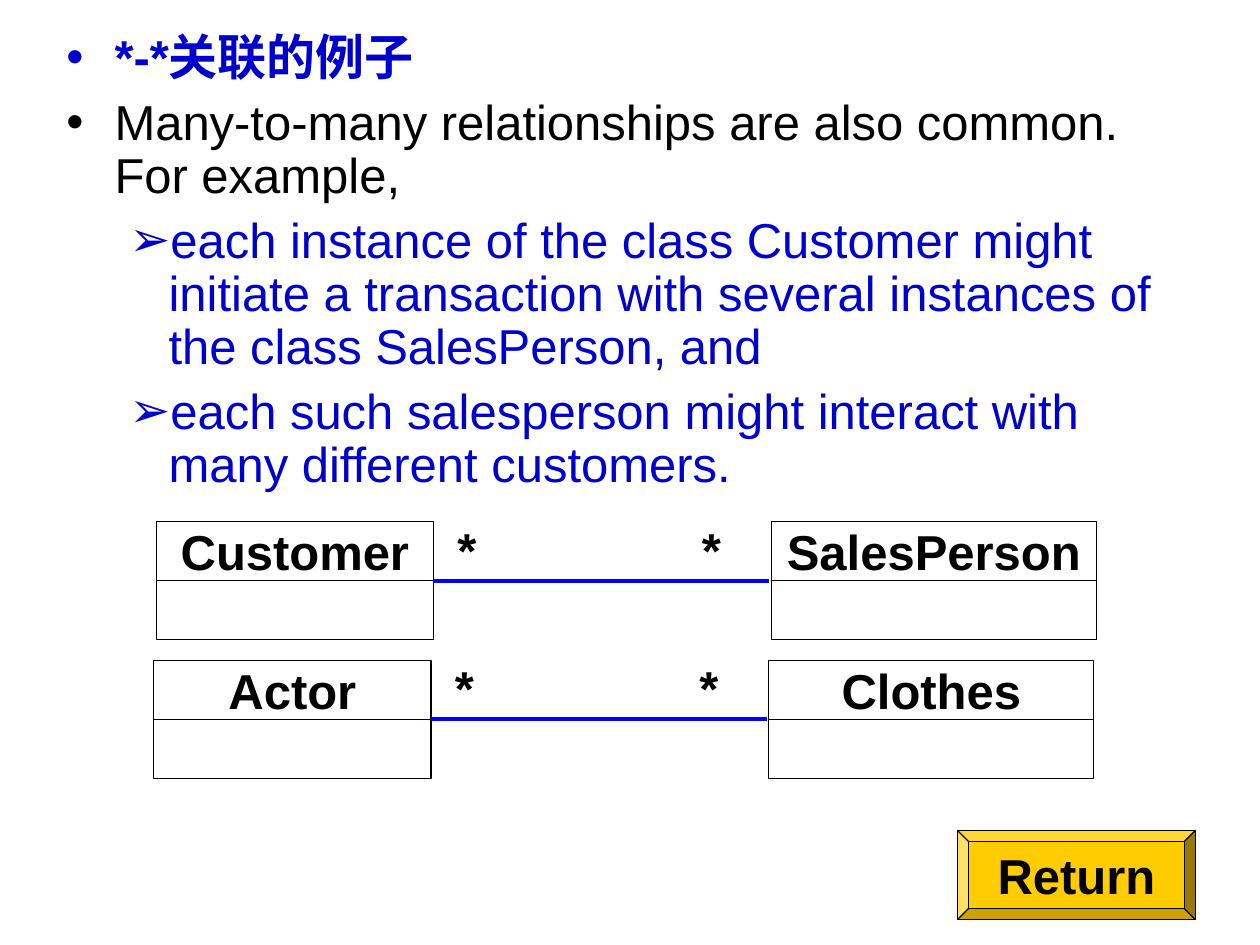
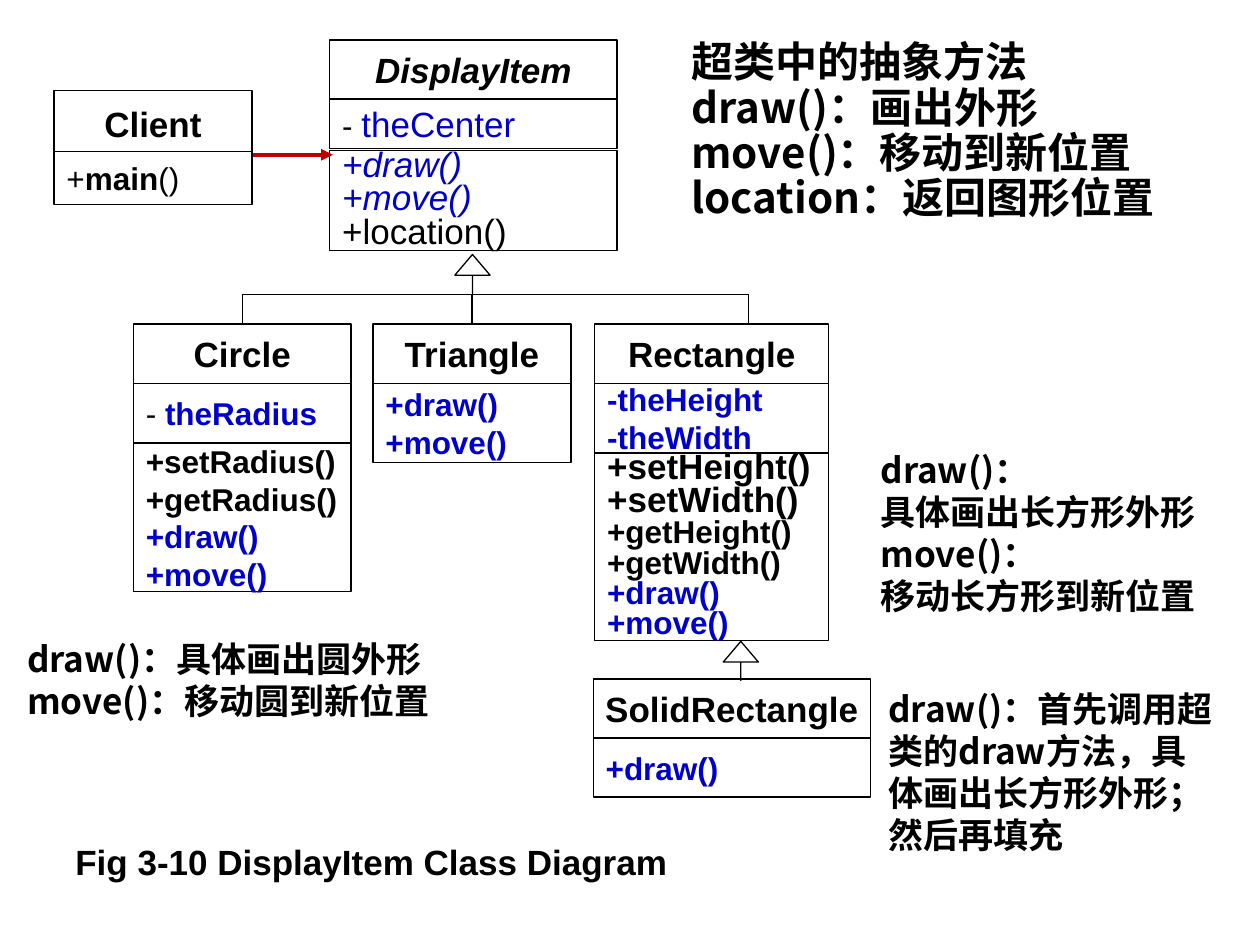
from dataclasses import dataclass
from typing import NamedTuple

from lxml.etree import SubElement
from pptx import Presentation
from pptx.dml.color import RGBColor
from pptx.enum.shapes import MSO_CONNECTOR, MSO_SHAPE
from pptx.enum.text import MSO_ANCHOR, PP_ALIGN
from pptx.oxml.ns import qn
from pptx.util import Cm, Pt

COLORS = {
    "ink": "000000",
    "paper": "FFFFFF",
    "accent": "0000CC",
    "association": "0000FF",
    "dependency": "C00000",
    "button": "FFCC00",
}
LATIN, CHINESE = "Arial", "Noto Sans CJK SC"

# Text frame formats
BOX_FRAME = dict(word_wrap=False, vertical_anchor=MSO_ANCHOR.MIDDLE,
                 margin_left=Cm(0.25), margin_right=Cm(0.25),
                 margin_top=Cm(0.13), margin_bottom=Cm(0.13))
NOTE_FRAME = BOX_FRAME | dict(word_wrap=True, vertical_anchor=MSO_ANCHOR.TOP)
FLUSH_FRAME = NOTE_FRAME | dict(margin_left=0, margin_right=0)
MARK_FRAME = FLUSH_FRAME | dict(margin_top=Cm(0.15), margin_bottom=0)


class Run(NamedTuple):
    text: str
    size: float = 18
    color: str = "ink"
    bold: bool = True
    italic: bool = False
    font: str = LATIN


class Bullet(NamedTuple):
    char: str
    margin: float
    hang: float


class Line(NamedTuple):
    runs: list[Run]
    bullet: Bullet | None = None


class Section(NamedTuple):
    height: float
    lines: list[Line]
    spacing: float = 1.0
    gap: float = 0


@dataclass
class ClassBox:
    left: float
    top: float
    width: float
    name: Run
    name_height: float
    sections: list[Section]


@dataclass
class Note:
    left: float
    top: float
    width: float
    height: float
    texts: list[str]
    size: float = 20
    spacing: float = 1.0
    font: str = CHINESE
    frame: dict | None = None


def rgb(color: str) -> RGBColor:
    return RGBColor.from_string(COLORS[color])


def lines(*texts: str, **style) -> list[Line]:
    return [Line([Run(text, **style)]) for text in texts]


def write(shape, content: list[Line], frame_format: dict, align=PP_ALIGN.LEFT,
          spacing: float = 1.0, before: float = 0) -> None:
    frame = shape.text_frame
    for key, value in frame_format.items():
        setattr(frame, key, value)
    for index, line in enumerate(content):
        paragraph = frame.add_paragraph() if index else frame.paragraphs[0]
        if line.bullet:
            add_bullet(paragraph, line.bullet, line.runs[0].color)
        paragraph.alignment = align
        paragraph.line_spacing = spacing
        if index and before:
            paragraph.space_before = Pt(before)
        for item in line.runs:
            run = paragraph.add_run()
            run.text = item.text
            style = dict(name=item.font, size=Pt(item.size),
                         bold=item.bold, italic=item.italic)
            for key, value in style.items():
                setattr(run.font, key, value)
            run.font.color.rgb = rgb(item.color)
            SubElement(run.font._element, qn("a:ea"), typeface=CHINESE)


def add_bullet(paragraph, bullet: Bullet, color: str) -> None:
    props = paragraph._p.get_or_add_pPr()
    props.set("marL", str(Cm(bullet.margin)))
    props.set("indent", str(-Cm(bullet.hang)))
    tint = SubElement(props, qn("a:buClr"))
    SubElement(tint, qn("a:srgbClr"), val=COLORS[color])
    SubElement(props, qn("a:buFont"), typeface=LATIN)
    SubElement(props, qn("a:buChar"), char=bullet.char)


def add_box(slide, left: float, top: float, width: float, height: float,
            kind=MSO_SHAPE.RECTANGLE, fill: str = "paper", outlined: bool = True):
    box = slide.shapes.add_shape(kind, Cm(left), Cm(top), Cm(width), Cm(height))
    box.shadow.inherit = False
    box.fill.solid()
    box.fill.fore_color.rgb = rgb(fill)
    if outlined:
        box.line.color.rgb = rgb("ink")
        box.line.width = Pt(0.75)
    else:
        box.line.fill.background()
    return box


def add_class(slide, item: ClassBox):
    """Draw a class and return its name box."""
    header = add_box(slide, item.left, item.top, item.width, item.name_height)
    write(header, [Line([item.name])], BOX_FRAME, PP_ALIGN.CENTER)
    top = item.top + item.name_height
    for section in item.sections:
        top += section.gap
        body = add_box(slide, item.left, top, item.width, section.height)
        if section.lines:
            write(body, section.lines, BOX_FRAME, spacing=section.spacing)
        top += section.height
    return header


def add_line(slide, x1: float, y1: float, x2: float, y2: float,
             color: str = "ink", width: float = 0.75, arrow: bool = False):
    line = slide.shapes.add_connector(
        MSO_CONNECTOR.STRAIGHT, Cm(x1), Cm(y1), Cm(x2), Cm(y2))
    line.line.color.rgb = rgb(color)
    line.line.width = Pt(width)
    if arrow:
        SubElement(line.line._get_or_add_ln(), qn("a:tailEnd"), type="triangle")
    SubElement(line._element.spPr, qn("a:effectLst"))
    return line


def add_inheritance(slide, left: float, top: float) -> None:
    arrow = add_box(slide, left, top, 0.71, 0.79, MSO_SHAPE.UP_ARROW)
    arrow.adjustments[0] = 0
    arrow.adjustments[1] = 0.59


def add_text(slide, left: float, top: float, width: float, height: float):
    return slide.shapes.add_textbox(Cm(left), Cm(top), Cm(width), Cm(height))


def add_note(slide, note: Note) -> None:
    box = add_text(slide, note.left, note.top, note.width, note.height)
    write(box, lines(*note.texts, size=note.size, font=note.font),
          note.frame or NOTE_FRAME, spacing=note.spacing)


def add_association(slide, left: float, top: float, source: str, target: str) -> None:
    """Draw two classes joined by a many-to-many association."""
    half, target_left = 1.19, left + 12.4
    for name, x, width in ((source, left, 5.59), (target, target_left, 6.55)):
        add_class(slide, ClassBox(x, top, width, Run(name, 28), half,
                                  [Section(half, [])]))
    for offset, width in ((6.07, 1.19), (11.0, 0.76)):
        mark = add_box(slide, left + offset, top - 0.2, width, half, outlined=False)
        write(mark, lines("*", size=28), MARK_FRAME)
    add_line(slide, left + 5.59, top + half, target_left - 0.04, top + half,
             "association", 2.5)


def build_many_to_many(slide) -> None:
    # Explanation
    dot, chevron = Bullet("•", 0.97, 0.97), Bullet("➢", 2.06, 0.79)
    points = [
        (dot, "*-*关联的例子", "accent", True),
        (dot, "Many-to-many relationships are also common. For example,",
         "ink", False),
        (chevron, "each instance of the class Customer might initiate a transaction "
         "with several instances of the class SalesPerson, and", "accent", False),
        (chevron, "each such salesperson might interact with many different "
         "customers.", "accent", False),
    ]
    write(add_text(slide, 1.09, 0.53, 22.86, 10.01),
          [Line([Run(text, 28, color, bold)], bullet)
           for bullet, text, color, bold in points],
          NOTE_FRAME, spacing=0.9, before=7)

    # Associations
    add_association(slide, 3.15, 10.52, "Customer", "SalesPerson")
    add_association(slide, 3.1, 13.31, "Actor", "Clothes")

    # Return button
    button = add_box(slide, 19.3, 16.74, 4.8, 1.8, MSO_SHAPE.BEVEL, "button")
    write(button, lines("Return", size=28), BOX_FRAME, PP_ALIGN.CENTER)


def build_class_diagram(slide) -> None:
    add_note(slide, Note(1.27, 16.92, 14.02, 1.19,
                         ["Fig 3-10 DisplayItem Class Diagram"],
                         spacing=0.9, font=LATIN))

    # Classes
    draw_move = lines("+draw()", "+move()", color="accent")
    dash = Run("- ", bold=False)
    child_top, name_height = 6.53, 1.2
    display_item = ClassBox(6.65, 0.81, 5.79, Run("DisplayItem", 20, italic=True), 1.19, [
        Section(0.99, [Line([dash, Run("theCenter", 20, "accent", False)])]),
        Section(2.01, lines("+draw()", "+move()", size=20, color="accent",
                            bold=False, italic=True)
                + lines("+location()", size=20, bold=False), 0.8, 0.05),
    ])
    client = ClassBox(1.09, 1.83, 3.99, Run("Client", 20), 1.3, [
        Section(1.07, [Line([Run("+", bold=False), Run("main"),
                             Run("()", bold=False)])], gap=-0.08),
    ])
    circle = ClassBox(2.69, child_top, 4.39, Run("Circle", 20), name_height, [
        Section(1.2, [Line([dash, Run("theRadius", color="accent")])]),
        Section(3.0, lines("+setRadius()", "+getRadius()") + draw_move),
    ])
    triangle = ClassBox(7.52, child_top, 3.99, Run("Triangle", 20), name_height,
                        [Section(1.6, draw_move)])
    rectangle = ClassBox(11.99, child_top, 4.72, Run("Rectangle", 20), name_height, [
        Section(1.4, lines("-theHeight", "-theWidth", color="accent")),
        Section(3.78, lines("+setHeight()", "+setWidth()", size=20)
                + lines("+getHeight()", "+getWidth()") + draw_move, 0.8),
    ])
    solid_rectangle = ClassBox(11.96, 13.69, 5.59, Run("SolidRectangle", 20), 1.19,
                               [Section(1.19, lines("+draw()", color="accent"))])
    for item in (display_item, client, rectangle, solid_rectangle):
        add_class(slide, item)

    # Inheritance tree
    bar_y, bar_end = 5.94, 15.09
    for child in (circle, triangle):
        center = child.left + child.width / 2
        header = add_class(slide, child)
        branch = add_line(slide, center, bar_y, center, child_top)
        branch.end_connect(header, 0)
    add_line(slide, bar_end, bar_y, bar_end, child_top)
    add_line(slide, circle.left + circle.width / 2, bar_y, bar_end, bar_y)
    add_inheritance(slide, 9.17, 5.13)
    add_inheritance(slide, 14.58, 12.93)

    # Client dependency
    add_line(slide, 5.11, 3.12, 6.71, 3.12, "dependency", 2.25, arrow=True)

    # Notes on the methods
    notes = [
        Note(13.69, 0.71, 10.41, 3.91,
             ["超类中的抽象方法", "draw()：画出外形", "move()：移动到新位置",
              "location：返回图形位置"], 24, 0.9),
        Note(0.3, 12.73, 8.89, 1.96,
             ["draw()：具体画出圆外形", "move()：移动圆到新位置"]),
        Note(17.5, 8.92, 7.01, 3.66,
             ["draw()：", "具体画出长方形外形", "move()：", "移动长方形到新位置"]),
        Note(17.91, 13.72, 6.6, 3.66,
             ["draw()：首先调用超类的draw方法，具体画出长方形外形；", "然后再填充"],
             frame=FLUSH_FRAME),
    ]
    for note in notes:
        add_note(slide, note)


def main() -> None:
    deck = Presentation()
    deck.slide_width, deck.slide_height = Cm(25.4), Cm(19.05)
    for build in (build_many_to_many, build_class_diagram):
        build(deck.slides.add_slide(deck.slide_layouts[6]))
    deck.save("out.pptx")


if __name__ == "__main__":
    main()
